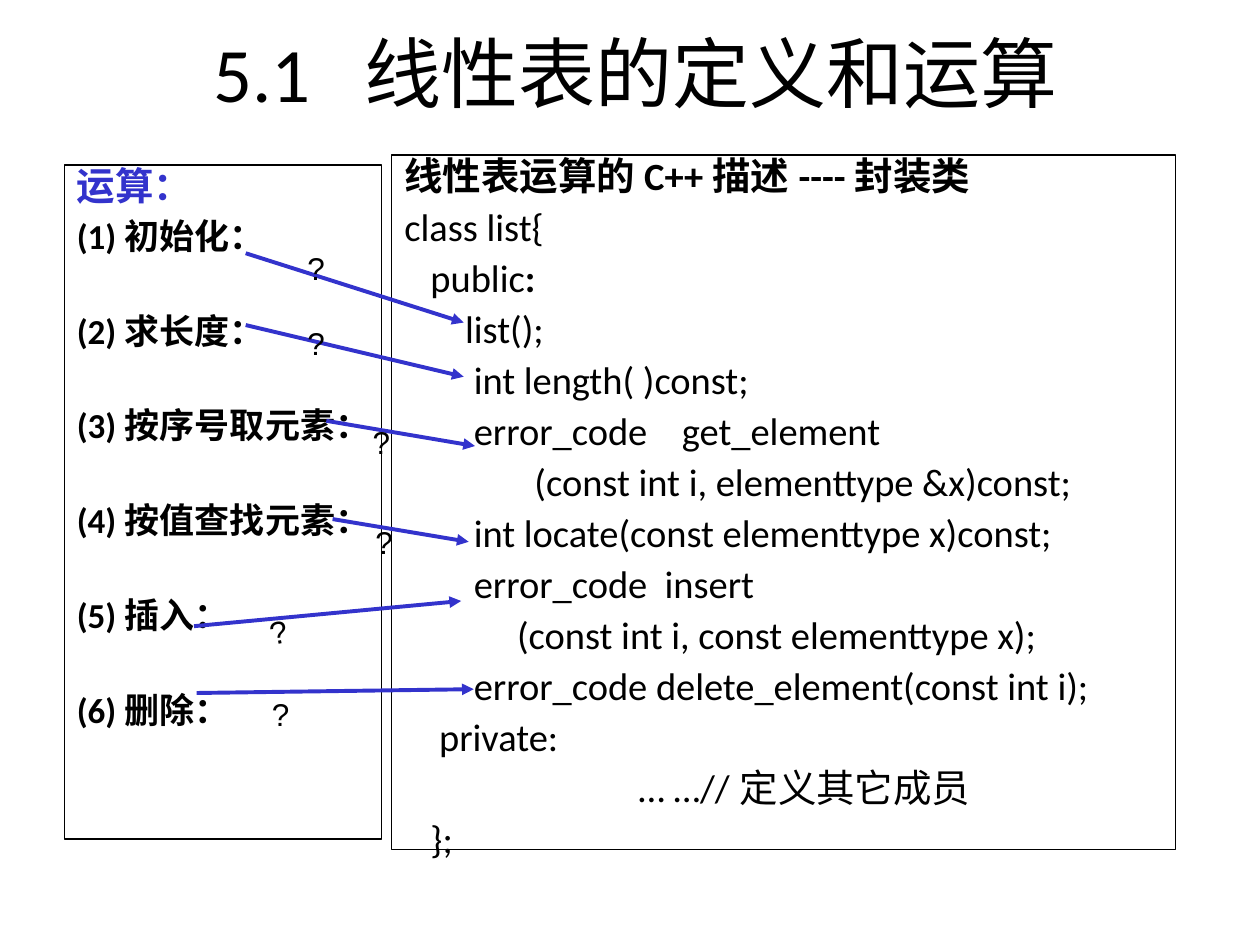
import pptx
import pptx.dml.color
import pptx.enum.dml
import pptx.enum.shapes
import pptx.enum.text
import pptx.oxml
import pptx.util
from pptx.util import Inches, Pt

COLORS = {"text": "000000", "accent": "3333CC"}
TITLE = "5.1  线性表的定义和运算"
OPERATIONS_HEADING = "运算："
OPERATIONS = ["(1)初始化：", "(2)求长度：", "(3)按序号取元素：",
              "(4)按值查找元素：", "(5)插入：", "(6)删除："]
CODE_HEADING = "线性表运算的C++描述----封装类"
CODE = [
    "class list{",
    "   public:",
    "       list();",
    "        int length( )const;",
    "        error_code    get_element",
    "               (const int i, elementtype &x)const;",
    "        int locate(const elementtype x)const;",
    "        error_code  insert",
    "             (const int i, const elementtype x);",
    "        error_code delete_element(const int i);",
    "    private:",
    "                           … …//定义其它成员",
    "   };",
]
# arrow start, arrow end, question mark (left, top, width), rotation
LINKS = [
    ((1.95, 2.01), (3.68, 2.56), (2.34, 1.93, 0.39), 0),
    ((1.95, 2.58), (3.68, 2.99), (2.34, 2.52, 0.39), 0),
    ((2.59, 3.34), (3.77, 3.54), (2.86, 3.31, 0.27), 0),
    ((2.64, 4.12), (3.72, 4.30), (2.88, 4.10, 0.25), 0),
    ((1.54, 4.97), (3.66, 4.77), (2.04, 4.80, 0.48), 349),
    ((1.56, 5.50), (3.76, 5.47), (2.06, 5.47, 0.50), 0),
]
MARK_HEIGHT = 0.4
DRAWING = 'xmlns:a="http://schemas.openxmlformats.org/drawingml/2006/main"'


def rgb(name):
    return pptx.dml.color.RGBColor.from_string(COLORS[name])


def set_attributes(target, values):
    for name, value in values.items():
        setattr(target, name, value)


def place(shape, left, top, width, height):
    set_attributes(shape, {"left": Inches(left), "top": Inches(top),
                           "width": Inches(width), "height": Inches(height)})


def add_run(paragraph, text, size, bold=False, color="text", font="Calibri"):
    run = paragraph.add_run()
    run.text = text
    set_attributes(run.font, {"size": Pt(size), "bold": bold, "name": font})
    run.font.color.rgb = rgb(color)


def fill_panel(panel, box, lines):
    """Frame a body placeholder; lines hold (space before, runs), a run being add_run arguments."""
    place(panel, *box)
    panel.line.color.rgb = rgb("text")
    panel.line.width = Pt(0.75)
    frame = panel.text_frame
    set_attributes(frame, {"word_wrap": True,
                           "auto_size": pptx.enum.text.MSO_AUTO_SIZE.NONE,
                           "vertical_anchor": pptx.enum.text.MSO_ANCHOR.TOP})
    for index, (space, runs) in enumerate(lines):
        paragraph = frame.add_paragraph() if index else frame.paragraphs[0]
        properties = paragraph._p.get_or_add_pPr()
        properties.set("marL", str(Inches(0.38)))
        properties.set("indent", str(-Inches(0.38)))
        properties.append(pptx.oxml.parse_xml(f"<a:buNone {DRAWING}/>"))
        set_attributes(paragraph, {"line_spacing": 0.8, "space_before": Pt(space)})
        for run in runs:
            add_run(paragraph, *run)


def add_link(slide, start, end, mark, rotation):
    """Group an arrow from an operation to its method with a question mark."""
    group = slide.shapes.add_group_shape()
    arrow = group.shapes.add_connector(pptx.enum.shapes.MSO_CONNECTOR.STRAIGHT,
                                       *map(Inches, start + end))
    arrow.line.color.rgb = rgb("accent")
    arrow.line.width = Pt(2.25)
    arrow.line._get_or_add_ln().append(
        pptx.oxml.parse_xml(f'<a:tailEnd {DRAWING} type="triangle"/>'))
    arrow._element.spPr.append(pptx.oxml.parse_xml(f"<a:effectLst {DRAWING}/>"))
    box = group.shapes.add_textbox(*map(Inches, mark + (MARK_HEIGHT,)))
    box.rotation = rotation
    set_attributes(box.text_frame, {
        "word_wrap": True,
        "auto_size": pptx.enum.text.MSO_AUTO_SIZE.SHAPE_TO_FIT_TEXT})
    add_run(box.text_frame.paragraphs[0], "?", 18, font="Arial")


def main():
    presentation = pptx.Presentation()
    presentation.slide_width = Inches(10)
    presentation.slide_height = Inches(7.5)
    slide = presentation.slides.add_slide(
        presentation.slide_layouts.get_by_name("Two Content"))
    title, operations, code = slide.placeholders

    place(title, 0.67, -0.34, 8.75, 1.33)
    set_attributes(title.text_frame, {
        "auto_size": pptx.enum.text.MSO_AUTO_SIZE.NONE,
        "vertical_anchor": pptx.enum.text.MSO_ANCHOR.BOTTOM})
    title.text_frame.paragraphs[0].alignment = pptx.enum.text.PP_ALIGN.CENTER
    add_run(title.text_frame.paragraphs[0], TITLE, 44)

    code_lines = [(0, [(CODE_HEADING, 22, True)])]
    for line in CODE:
        label = line.removesuffix(":")
        runs = [(label, 22)]
        if label.strip() == "public":
            runs.append((":", 22, True))
        else:
            runs = [(line, 22)]
        code_lines.append((8, runs))
    fill_panel(code, (3.11, 1.23, 6.22, 5.51), code_lines)

    operation_lines = [(0, [(OPERATIONS_HEADING, 22, True, "accent")])]
    for index, operation in enumerate(OPERATIONS):
        operation_lines.append((35 if index else 8, [(operation, 20, True)]))
    fill_panel(operations, (0.51, 1.31, 2.52, 5.35), operation_lines)

    for link in LINKS:
        add_link(slide, *link)
    presentation.save("out.pptx")


if __name__ == "__main__":
    main()
